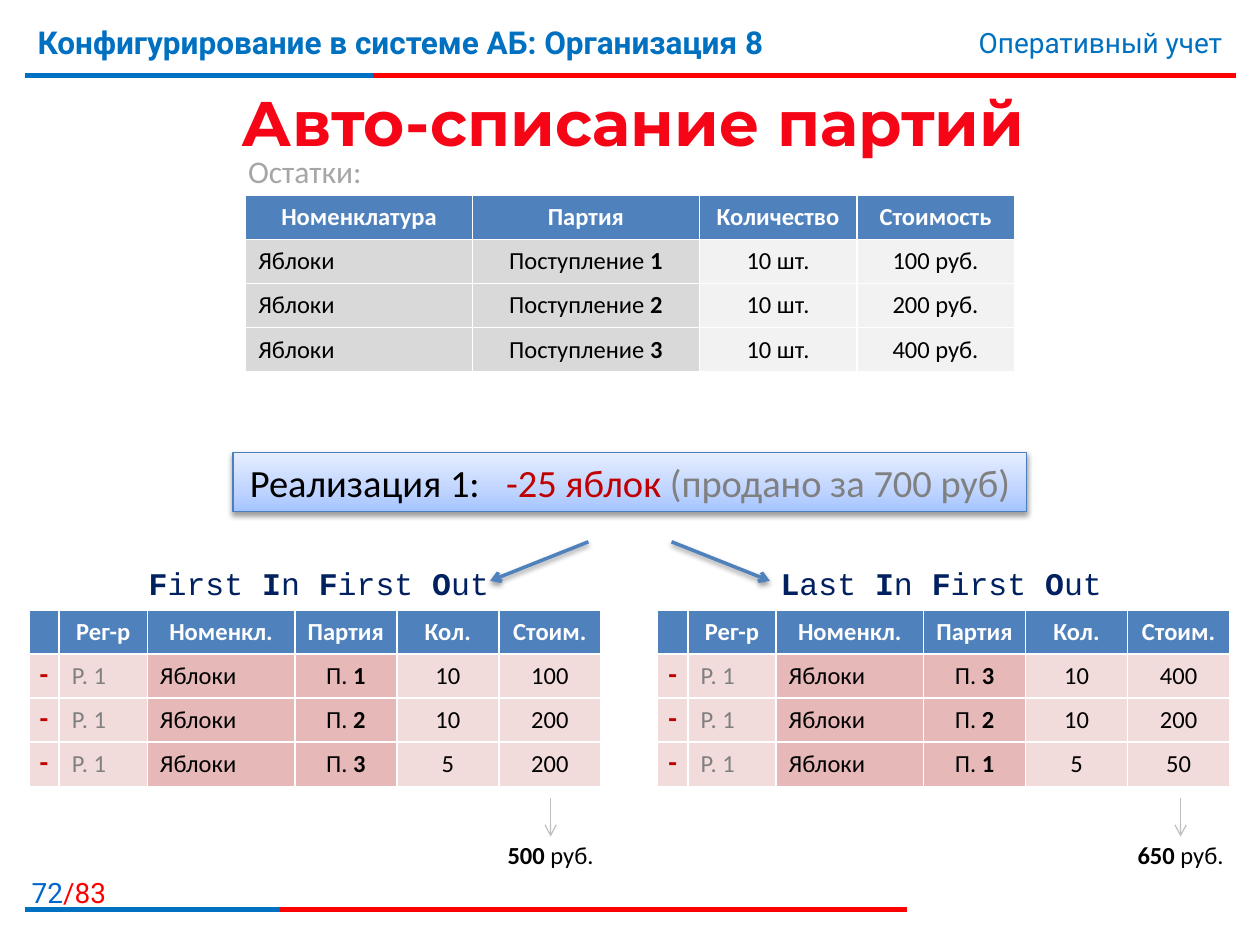
import copy

import pptx
import pptx.dml.color
import pptx.enum.shapes
import pptx.enum.text
import pptx.oxml
import pptx.oxml.ns
import pptx.util

Inches = pptx.util.Inches
Pt = pptx.util.Pt
RGBColor = pptx.dml.color.RGBColor
ALIGN = pptx.enum.text.PP_ALIGN
ANCHOR = pptx.enum.text.MSO_ANCHOR

WHITE = RGBColor(0xFF, 0xFF, 0xFF)
BLACK = RGBColor(0x00, 0x00, 0x00)
RED = RGBColor(0xFF, 0x00, 0x00)
BLUE = RGBColor(0x00, 0x70, 0xC0)
NUMBER_BLUE = RGBColor(0x00, 0x66, 0xCC)
TITLE_RED = RGBColor(0xF5, 0x05, 0x16)
DARK_RED = RGBColor(0xC0, 0x00, 0x00)
NAVY = RGBColor(0x00, 0x20, 0x60)
ACCENT = RGBColor(0x4F, 0x81, 0xBD)
BANNER_LINE = RGBColor(0x4B, 0x7E, 0xBC)
BANNER_STOPS = [
    (0, RGBColor(0xA4, 0xC4, 0xFF)),
    (0.35, RGBColor(0xBF, 0xD4, 0xFF)),
    (1, RGBColor(0xE6, 0xEE, 0xFF)),
]
GRAY = RGBColor(0x80, 0x80, 0x80)
CAPTION_GRAY = RGBColor(0xA6, 0xA6, 0xA6)
ARROW_GRAY = RGBColor(0xBF, 0xBF, 0xBF)
CELL_GRAY = RGBColor(0xD9, 0xD9, 0xD9)
CELL_LIGHT = RGBColor(0xF2, 0xF2, 0xF2)
CELL_ROSE = RGBColor(0xE6, 0xB9, 0xB8)
CELL_PINK = RGBColor(0xF2, 0xDC, 0xDB)

HEADING = {"name": "Roboto", "size": Pt(18), "bold": True, "color": BLUE}
SECTION = {"name": "Roboto", "size": Pt(16), "color": BLUE}
TITLE = {"name": "Montserrat", "size": Pt(36), "bold": True, "color": TITLE_RED}
CAPTION = {"name": "Calibri", "size": Pt(18), "color": CAPTION_GRAY}
BANNER = {"name": "Calibri", "size": Pt(22), "color": BLACK}
METHOD = {"name": "Courier New", "size": Pt(18), "color": NAVY}
BODY = {"name": "Calibri", "size": Pt(14), "color": BLACK}
TABLE_HEAD = {**BODY, "bold": True, "color": WHITE}
REGISTRAR = {**BODY, "color": GRAY}
MINUS = {**BODY, "name": "Courier New", "bold": True, "color": DARK_RED}

STOCK_COLUMNS = [
    (1.8, CELL_GRAY, BODY, ALIGN.LEFT),
    (1.8, CELL_GRAY, BODY, ALIGN.CENTER),
    (1.25, CELL_LIGHT, BODY, ALIGN.CENTER),
    (1.25, CELL_LIGHT, BODY, ALIGN.CENTER),
]
MOVEMENT_COLUMNS = [
    (0.24, CELL_PINK, MINUS, ALIGN.CENTER),
    (0.7, CELL_PINK, REGISTRAR, ALIGN.LEFT),
    (1.17, CELL_ROSE, BODY, ALIGN.LEFT),
    (0.81, CELL_ROSE, BODY, ALIGN.CENTER),
    (0.81, CELL_PINK, BODY, ALIGN.CENTER),
    (0.81, CELL_PINK, BODY, ALIGN.CENTER),
]
ROW_HEIGHT = 0.35


def apply_format(target, values):
    for name, value in values.items():
        if name == "color":
            target.color.rgb = value
        else:
            setattr(target, name, value)


def starred(text, base):
    return [(part, {**base, "bold": True} if index % 2 else base)
            for index, part in enumerate(text.split("*")) if part]


def write_runs(frame, runs, alignment):
    paragraph = frame.paragraphs[0]
    paragraph.alignment = alignment
    for text, values in runs:
        run = paragraph.add_run()
        run.text = text
        apply_format(run.font, values)
    return paragraph


def add_text(slide, box, runs, alignment=ALIGN.LEFT, wrap=False, anchor=ANCHOR.TOP):
    shape = slide.shapes.add_textbox(*map(Inches, box))
    apply_format(shape.text_frame, {"word_wrap": wrap, "vertical_anchor": anchor})
    write_runs(shape.text_frame, runs, alignment)


def set_effects(shape, shadowed):
    properties = shape._element.spPr
    effects = pptx.oxml.parse_xml(f'<a:effectLst {pptx.oxml.ns.nsdecls("a")}/>')
    if shadowed:
        effects.append(pptx.oxml.parse_xml(
            f'<a:outerShdw {pptx.oxml.ns.nsdecls("a")} blurRad="{Pt(3.1)}" dist="{Pt(1.6)}" '
            'dir="5400000" rotWithShape="0"><a:srgbClr val="000000">'
            '<a:alpha val="38000"/></a:srgbClr></a:outerShdw>'))
    properties.append(effects)


def add_line(slide, start, end, color, width, arrow=False, shadowed=False):
    connector = slide.shapes.add_connector(
        pptx.enum.shapes.MSO_CONNECTOR.STRAIGHT, *map(Inches, (*start, *end)))
    apply_format(connector.line, {"width": Pt(width)})
    connector.line.color.rgb = color
    if arrow:
        connector.line._get_or_add_ln().append(
            pptx.oxml.parse_xml(f'<a:tailEnd {pptx.oxml.ns.nsdecls("a")} type="arrow"/>'))
    set_effects(connector, shadowed)


def add_rule(slide, left, top, blue_width, width):
    for length, color in ((width, RED), (blue_width, BLUE)):
        add_line(slide, (left, top), (left + length, top), color, 3)


def add_header(slide, left, top, width):
    add_rule(slide, left, top + 0.47, 2.76, width)
    add_text(slide, (left, top, 7.4, 0.62),
             [("Конфигурирование в системе АБ: Организация 8", HEADING)], wrap=True)
    add_text(slide, (left + width - 3.87, top + 0.02, 3.86, 0.37),
             [("Оперативный учет", SECTION)], ALIGN.RIGHT, wrap=True)


def add_footer(slide, left, top, width):
    add_rule(slide, left, top + 0.32, 2.02, width)
    add_text(slide, (0, top, 0.94, 0.32),
             [("72", {**SECTION, "color": NUMBER_BLUE}), ("/83", {**SECTION, "color": RED})],
             ALIGN.RIGHT)


def add_grid(slide, left, top, columns, headings, rows):
    lines = [headings, *rows]
    width = sum(column[0] for column in columns)
    table = slide.shapes.add_table(
        len(lines), len(columns),
        *map(Inches, (left, top, width, ROW_HEIGHT * len(lines)))).table
    table.horz_banding = False
    for row in table.rows:
        row.height = Inches(ROW_HEIGHT)
    for index, (column_width, fill, values, alignment) in enumerate(columns):
        table.columns[index].width = Inches(column_width)
        for number, line in enumerate(lines):
            cell = table.cell(number, index)
            cell.vertical_anchor = ANCHOR.MIDDLE
            cell.fill.solid()
            cell.fill.fore_color.rgb = fill if number else ACCENT
            if values is MINUS:
                apply_format(cell, dict.fromkeys(
                    ("margin_left", "margin_right", "margin_top", "margin_bottom"), 0))
            write_runs(cell.text_frame, starred(line[index], values if number else TABLE_HEAD),
                       alignment if number else ALIGN.CENTER)


def add_stock(slide, left, top):
    add_text(slide, (left - 0.08, top - 0.39, 1.11, 0.4), [("Остатки:", CAPTION)])
    rows = [("Яблоки", f"Поступление *{batch}*", "10 шт.", f"{cost} руб.")
            for batch, cost in ((1, 100), (2, 200), (3, 400))]
    add_grid(slide, left, top, STOCK_COLUMNS,
             ("Номенклатура", "Партия", "Количество", "Стоимость"), rows)


def add_sale(slide, left, top, width, height):
    shape = slide.shapes.add_shape(
        pptx.enum.shapes.MSO_SHAPE.RECTANGLE, *map(Inches, (left, top, width, height)))
    shape.fill.gradient()
    shape.fill.gradient_angle = 90
    first = shape._element.xpath(".//a:gs")[0]
    first.addnext(copy.deepcopy(first))
    for stop, (position, color) in zip(shape.fill.gradient_stops, BANNER_STOPS):
        stop.position = position
        stop.color.rgb = color
    shape.line.width = Pt(0.75)
    shape.line.color.rgb = BANNER_LINE
    set_effects(shape, True)
    apply_format(shape.text_frame, {"word_wrap": False, "vertical_anchor": ANCHOR.MIDDLE})
    paragraph = write_runs(shape.text_frame, [
        ("Реализация 1:", BANNER), (" ", BANNER),
        ("-25 яблок ", {**BANNER, "color": DARK_RED}),
        ("(продано за 700 руб)", {**BANNER, "color": GRAY})], ALIGN.CENTER)
    paragraph.runs[1].font._element.set("spc", "1000")
    center = left + width / 2
    for side in (1, -1):
        add_line(slide, (center + side * 0.33, top + 0.71), (center + side * 1.11, top + 1.02),
                 ACCENT, 2, arrow=True, shadowed=True)


def add_method(slide, left, top, name, name_center, total_center, movements):
    add_text(slide, (name_center - 1.46, top - 0.41, 2.92, 0.4),
             starred(name, METHOD), ALIGN.CENTER)
    rows = [("-", "Р. 1", "Яблоки", f"П.* {batch}*", str(count), str(cost))
            for batch, count, cost in movements]
    add_grid(slide, left, top, MOVEMENT_COLUMNS,
             ("", "Рег-р", "Номенкл.", "Партия", "Кол.", "Стоим."), rows)
    add_line(slide, (total_center, top + 1.49), (total_center, top + 1.8),
             ARROW_GRAY, 0.75, arrow=True)
    total = sum(cost for _, _, cost in movements)
    add_text(slide, (total_center - 0.45, top + 1.78, 0.9, 0.34),
             starred(f"*{total} *руб.", BODY), ALIGN.CENTER)


def main():
    presentation = pptx.Presentation()
    apply_format(presentation, {"slide_width": Inches(10), "slide_height": Inches(7.5)})
    slide = presentation.slides.add_slide(presentation.slide_layouts[6])
    add_header(slide, 0.2, 0.13, 9.61)
    add_footer(slide, 0.2, 6.9, 7)
    add_text(slide, (0.23, 0.62, 9.59, 0.69), [("Авто-списание партий", TITLE)],
             ALIGN.CENTER, wrap=True, anchor=ANCHOR.MIDDLE)
    add_stock(slide, 1.95, 1.55)
    add_sale(slide, 1.85, 3.59, 6.3, 0.47)
    add_method(slide, 0.23, 4.84, "*F*irst *I*n *F*irst *O*ut", 2.53, 4.37,
               [(1, 10, 100), (2, 10, 200), (3, 5, 200)])
    add_method(slide, 5.22, 4.84, "*L*ast *I*n *F*irst *O*ut", 7.47, 9.37,
               [(3, 10, 400), (2, 10, 200), (1, 5, 50)])
    presentation.save("out.pptx")


if __name__ == "__main__":
    main()
